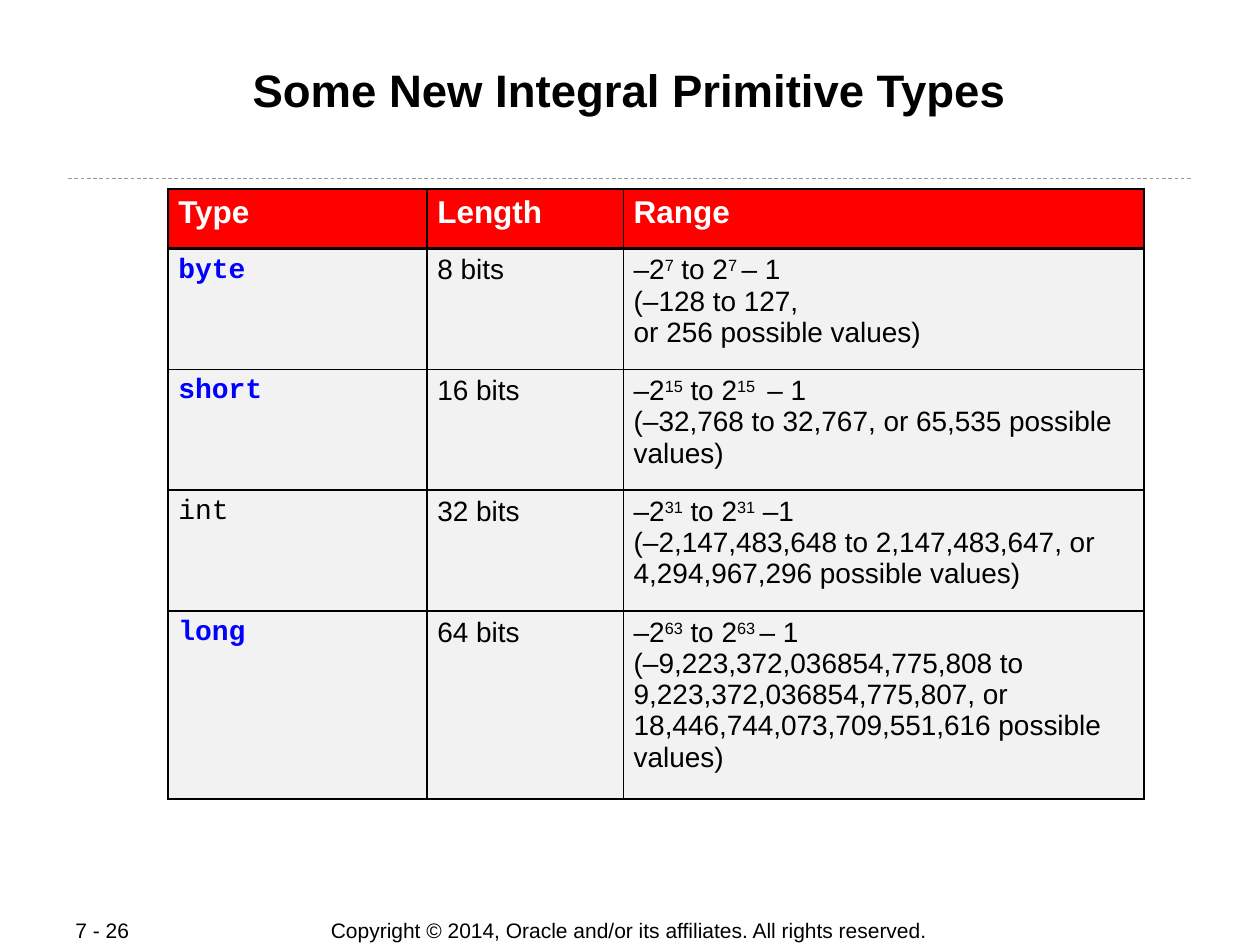
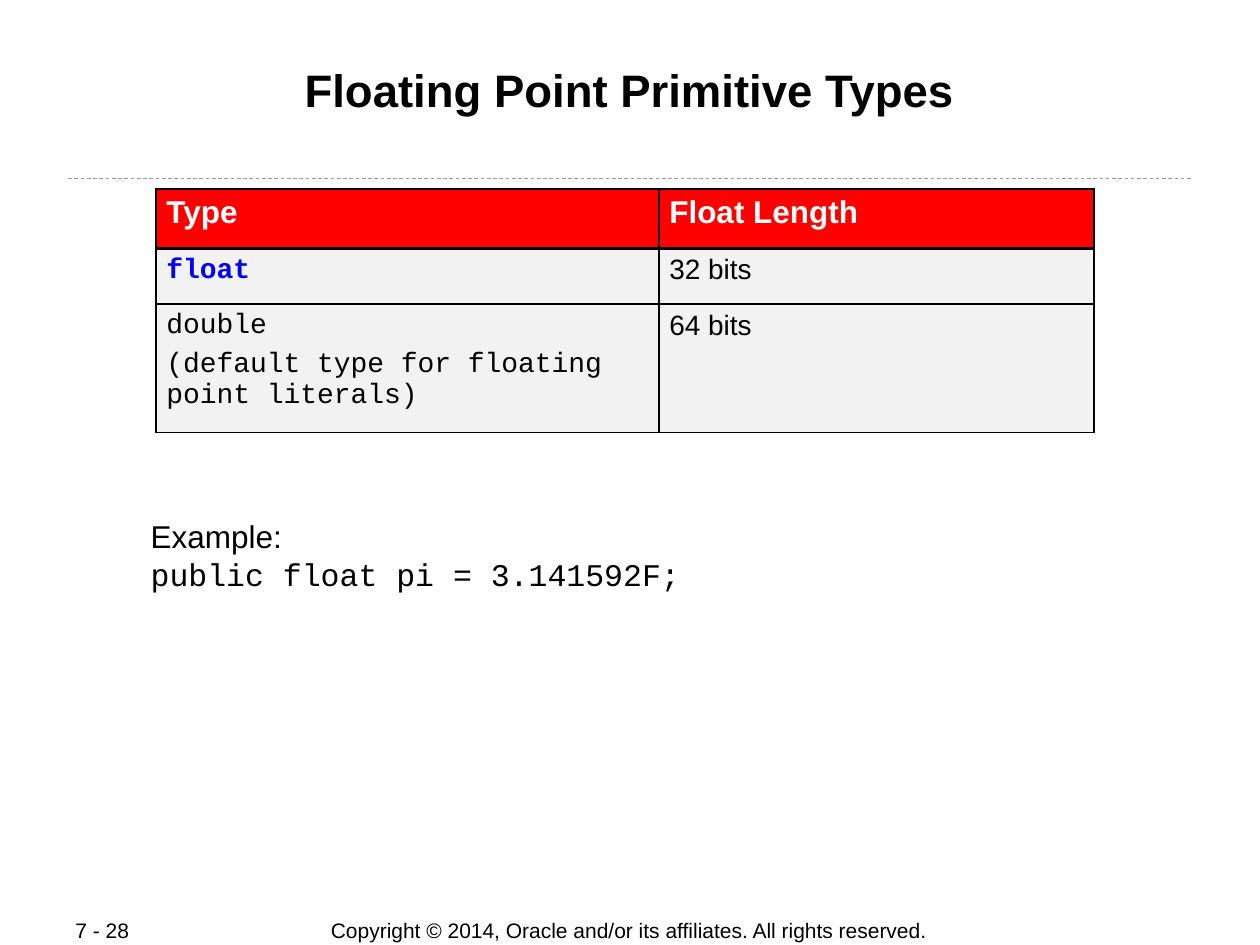
from dataclasses import dataclass

from lxml import etree
from pptx import Presentation
from pptx.dml.color import RGBColor
from pptx.enum.dml import MSO_LINE
from pptx.enum.shapes import MSO_CONNECTOR
from pptx.enum.text import MSO_ANCHOR, PP_ALIGN
from pptx.oxml.ns import qn
from pptx.util import Pt

DASH = MSO_LINE.DASH
STRAIGHT = MSO_CONNECTOR.STRAIGHT
TOP, MIDDLE = MSO_ANCHOR.TOP, MSO_ANCHOR.MIDDLE
LEFT, CENTER = PP_ALIGN.LEFT, PP_ALIGN.CENTER


@dataclass(frozen=True)
class Theme:
    ink: str = "000000"
    header_text: str = "FFFFFF"
    header_fill: str = "FF0000"
    body_fill: str = "F2F2F2"
    keyword: str = "0000FF"
    rule: str = "999999"
    sans: str = "Arial"
    mono: str = "Courier New"
    title_size: float = 26
    header_size: float = 18
    cell_size: float = 16
    example_size: float = 18
    footer_size: float = 12
    rule_width: float = 0.5
    border: float = 1.08
    header_border: float = 2.21


THEME = Theme()


@dataclass(frozen=True)
class Style:
    size: float
    family: str = THEME.sans
    color: str = THEME.ink
    bold: bool = False
    align: PP_ALIGN = LEFT


TITLE = Style(THEME.title_size, bold=True, align=CENTER)
HEADER = Style(THEME.header_size, color=THEME.header_text, bold=True)
BODY = Style(THEME.cell_size)
CODE = Style(THEME.cell_size, THEME.mono)
KEYWORD = Style(THEME.cell_size, THEME.mono, THEME.keyword, True)
EXAMPLE = Style(THEME.example_size)
EXAMPLE_CODE = Style(THEME.example_size, THEME.mono)
PAGE_NUMBER = Style(THEME.footer_size)
COPYRIGHT = Style(THEME.footer_size, align=CENTER)

COPYRIGHT_LINE = "Copyright © 2014, Oracle and/or its affiliates. All rights reserved."

INTEGRAL_ROWS = [
    [("byte", KEYWORD), ("8 bits", BODY),
     ("–2^7^ to 2^7 ^– 1 \n(–128 to 127, \nor 256 possible values)", BODY)],
    [("short", KEYWORD), ("16 bits", BODY),
     ("–2^15^ to 2^15 ^ – 1 \n(–32,768 to 32,767, or 65,535 possible values)", BODY)],
    [("int", CODE), ("32 bits", BODY),
     ("–2^31^ to 2^31^ –1 \n(–2,147,483,648 to 2,147,483,647, or "
      "4,294,967,296 possible values)", BODY)],
    [("long", KEYWORD), ("64 bits", BODY),
     ("–2^63^ to 2^63 ^– 1\n(–9,223,372,036854,775,808 to "
      "9,223,372,036854,775,807, or 18,446,744,073,709,551,616 possible values)", BODY)],
]

FLOAT_ROWS = [
    [("float", KEYWORD), ("32 bits", BODY)],
    [("double\r(default type for floating point literals)", CODE), ("64 bits", BODY)],
]


def write_paragraph(paragraph, text, style):
    """Text between carets is superscript; a newline breaks the line."""
    paragraph.alignment = style.align
    font = paragraph.font
    font.name, font.size, font.bold = style.family, Pt(style.size), style.bold
    font.color.rgb = RGBColor.from_string(style.color)
    for part_index, part in enumerate(text.split("^")):
        for line_index, line in enumerate(part.split("\n")):
            if line_index:
                paragraph.add_line_break()
            if not line:
                continue
            run = paragraph.add_run()
            run.text = line
            if part_index % 2:
                run._r.get_or_add_rPr().set("baseline", "30000")


def add_text(slide, box, lines, margins, anchor=TOP):
    frame = slide.shapes.add_textbox(*map(Pt, box)).text_frame
    frame.word_wrap = True
    frame.vertical_anchor = anchor
    frame.margin_left = frame.margin_right = Pt(margins[0])
    frame.margin_top = frame.margin_bottom = Pt(margins[1])
    for index, (text, style) in enumerate(lines):
        paragraph = frame.add_paragraph() if index else frame.paragraphs[0]
        write_paragraph(paragraph, text, style)


def add_rule(slide):
    rule = slide.shapes.add_connector(STRAIGHT, Pt(39), Pt(102.25), Pt(681), Pt(102.25))
    rule.line.color.rgb = RGBColor.from_string(THEME.rule)
    rule.line.width = Pt(THEME.rule_width)
    rule.line.dash_style = DASH
    etree.SubElement(rule._element.spPr, qn("a:effectLst"))


def set_borders(cell, top, bottom):
    widths = {"L": THEME.border, "R": THEME.border, "T": top, "B": bottom}
    properties = cell._tc.get_or_add_tcPr()
    for side, width in widths.items():
        line = etree.SubElement(properties, qn(f"a:ln{side}"), w=str(Pt(width)))
        fill = etree.SubElement(line, qn("a:solidFill"))
        etree.SubElement(fill, qn("a:srgbClr"), val=THEME.ink)


def fill_cell(cell, text, style, row_index):
    top = THEME.header_border if row_index == 1 else THEME.border
    bottom = THEME.header_border if row_index == 0 else THEME.border
    set_borders(cell, top, bottom)
    cell.fill.solid()
    cell.fill.fore_color.rgb = RGBColor.from_string(
        THEME.body_fill if row_index else THEME.header_fill)
    cell.margin_left = cell.margin_right = Pt(5.9)
    cell.margin_top = cell.margin_bottom = Pt(3.6)
    frame = cell.text_frame
    for index, line in enumerate(text.split("\r")):
        paragraph = frame.add_paragraph() if index else frame.paragraphs[0]
        if index:
            paragraph.space_before = Pt(4)
        write_paragraph(paragraph, line, style)


def add_type_table(slide, left, headings, rows, widths, heights):
    table = slide.shapes.add_table(
        len(heights), len(widths), Pt(left), Pt(108),
        Pt(sum(widths)), Pt(sum(heights))).table
    table.first_row = table.horz_banding = False
    for column, width in zip(table.columns, widths):
        column.width = Pt(width)
    for row, height in zip(table.rows, heights):
        row.height = Pt(height)
    all_rows = [[(heading, HEADER) for heading in headings], *rows]
    for row_index, entries in enumerate(all_rows):
        for column_index, (text, style) in enumerate(entries):
            fill_cell(table.cell(row_index, column_index), text, style, row_index)


def add_base_slide(deck, title, page_number):
    slide = deck.slides.add_slide(deck.slide_layouts[6])
    add_text(slide, (179.5, 524, 360, 15), [(COPYRIGHT_LINE, COPYRIGHT)], (0, 0), MIDDLE)
    add_rule(slide)
    add_text(slide, (36, 524, 76, 15), [(page_number, PAGE_NUMBER)], (7.2, 0), MIDDLE)
    add_text(slide, (48, 34.5, 623.5, 69), [(title, TITLE)], (0.7, 0.7))
    return slide


def main():
    deck = Presentation()
    deck.slide_width, deck.slide_height = Pt(720), Pt(540)

    integral = add_base_slide(deck, "Some New Integral Primitive Types", "7 - 26")
    add_type_table(integral, 96, ["Type", "Length", "Range"], INTEGRAL_ROWS,
                   [148, 112.25, 297.5], [34, 69.1, 69.1, 69.1, 107.5])

    floating = add_base_slide(deck, "Floating Point Primitive Types", "7 - 28")
    add_type_table(floating, 89.2, ["Type", "Float Length"], FLOAT_ROWS,
                   [287.4, 248.5], [34, 31.7, 73.4])
    add_text(floating, (79, 292, 560, 50.5),
             [("Example:", EXAMPLE), ("public float pi = 3.141592F;", EXAMPLE_CODE)],
             (7.2, 3.6))

    deck.save("out.pptx")


if __name__ == "__main__":
    main()
